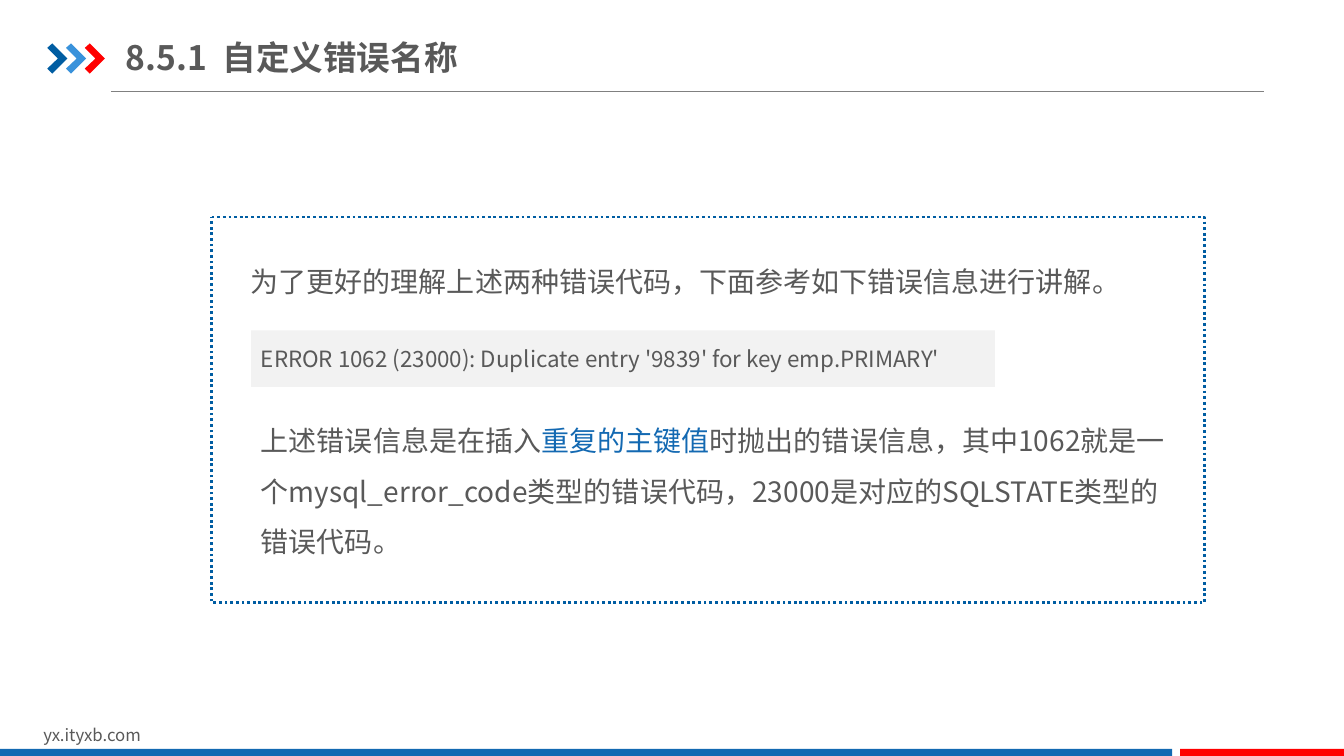
from lxml import etree
from pptx import Presentation
from pptx.dml.color import RGBColor
from pptx.enum.dml import MSO_LINE
from pptx.enum.shapes import MSO_CONNECTOR, MSO_SHAPE
from pptx.enum.text import MSO_ANCHOR, MSO_AUTO_SIZE, PP_ALIGN
from pptx.oxml.ns import qn
from pptx.util import Pt

RECTANGLE = MSO_SHAPE.RECTANGLE
PROCESS = MSO_SHAPE.FLOWCHART_PROCESS
STRAIGHT = MSO_CONNECTOR.STRAIGHT
DOTTED = MSO_LINE.ROUND_DOT
MIDDLE, TOP = MSO_ANCHOR.MIDDLE, MSO_ANCHOR.TOP
GROW, FIXED = MSO_AUTO_SIZE.SHAPE_TO_FIT_TEXT, MSO_AUTO_SIZE.NONE
LEFT = PP_ALIGN.LEFT

FONT = "Noto Sans CJK SC"
INK, BLUE, NAVY, SKY, RED = "595959", "1369B2", "005DA2", "3992DB", "FF0000"
WHITE, PALE, GREY = "FFFFFF", "F2F2F2", "808080"
CHEVRON = [(0, 3.2), (3.6, 0), (14.4, 10.8), (3.6, 21.6), (0, 18), (7.6, 10.8)]


def color(value):
    return RGBColor.from_string(value)


def write(box, *parts, size=20, bold=False, spacing=None, anchor=TOP, fit=FIXED):
    """Fill a box with one paragraph; a part is a string or (string, colour)."""
    frame = box.text_frame
    frame.word_wrap = True
    frame.auto_size = fit
    frame.vertical_anchor = anchor
    para = frame.paragraphs[0]
    para.alignment = LEFT
    if spacing:
        para.line_spacing = spacing
    for part in parts:
        text, ink = (part, INK) if isinstance(part, str) else part
        span = para.add_run()
        span.text = text
        font = span.font
        font.size, font.bold, font.name = Pt(size), bold, FONT
        font.color.rgb = color(ink)
        east_asian = etree.SubElement(font._element, qn("a:ea"))
        east_asian.set("typeface", FONT)


class Page:
    """The current slide, with a method for each kind of element."""

    def __init__(self, deck):
        self.slide = deck.slides.add_slide(deck.slide_layouts[5])
        self.shapes = self.slide.shapes

    def title(self, left, top, width, height, text):
        box = self.shapes.title
        box.left, box.top = Pt(left), Pt(top)
        box.width, box.height = Pt(width), Pt(height)
        box.text_frame.margin_left = box.text_frame.margin_right = 0
        write(box, text, size=24, bold=True, anchor=MIDDLE)

    def text(self, left, top, width, height, *parts, **style):
        box = self.shapes.add_textbox(Pt(left), Pt(top), Pt(width), Pt(height))
        write(box, *parts, fit=GROW, **style)

    def paint(self, box, fill):
        box.shadow.inherit = False
        box.fill.solid()
        box.fill.fore_color.rgb = color(fill)
        box.line.fill.background()

    def block(self, left, top, width, height, fill, kind=RECTANGLE):
        box = self.shapes.add_shape(kind, Pt(left), Pt(top), Pt(width), Pt(height))
        self.paint(box, fill)
        return box

    def chevron(self, left, top, fill):
        points = [(Pt(left + x), Pt(top + y)) for x, y in CHEVRON]
        outline = self.shapes.build_freeform(*points[0])
        outline.add_line_segments(points[1:], close=True)
        self.paint(outline.convert_to_shape(), fill)

    def rule(self, left, right, top, ink):
        line = self.shapes.add_connector(STRAIGHT, Pt(left), Pt(top), Pt(right), Pt(top))
        line.line.color.rgb = color(ink)
        line.line.width = Pt(0.75)
        etree.SubElement(line._element.spPr, qn("a:effectLst"))


def main():
    deck = Presentation()
    deck.slide_width, deck.slide_height = Pt(960), Pt(540)
    page = Page(deck)

    # Header
    page.rule(79.2, 903, 65.4, GREY)
    for index, fill in enumerate((NAVY, SKY, RED)):
        page.chevron(33.8 + 13.4 * index, 31, fill)
    page.title(90, 20.9, 306.7, 39.6, "8.5.1  自定义错误名称")

    # Footer
    page.text(23.8, 514, 229, 21.6, "yx.ityxb.com", size=12)
    page.block(0, 535, 837.2, 5, BLUE)
    page.block(843, 535, 117, 5, RED)

    # Dotted frame
    frame = page.block(151.2, 155, 709.2, 275.4, WHITE, PROCESS)
    frame.line.color.rgb = color(NAVY)
    frame.line.width = Pt(2)
    frame.line.dash_style = DOTTED

    # Explanation around the error message
    page.text(172, 173.5, 666.7, 43.2,
              "为了更好的理解上述两种错误代码，下面参考如下错误信息进行讲解。", spacing=1.5)
    message = page.block(179.3, 236, 531.4, 40.3, PALE)
    write(message, "ERROR 1062 (23000): Duplicate entry '9839' for key emp.PRIMARY'",
          size=16, anchor=MIDDLE)
    page.text(179.3, 287.3, 666.7, 116,
              "上述错误信息是在插入", ("重复的主键值", BLUE),
              "时抛出的错误信息，其中1062就是一个mysql_error_code类型的错误代码，"
              "23000是对应的SQLSTATE类型的错误代码。", spacing=1.5)

    deck.save("out.pptx")


if __name__ == "__main__":
    main()
